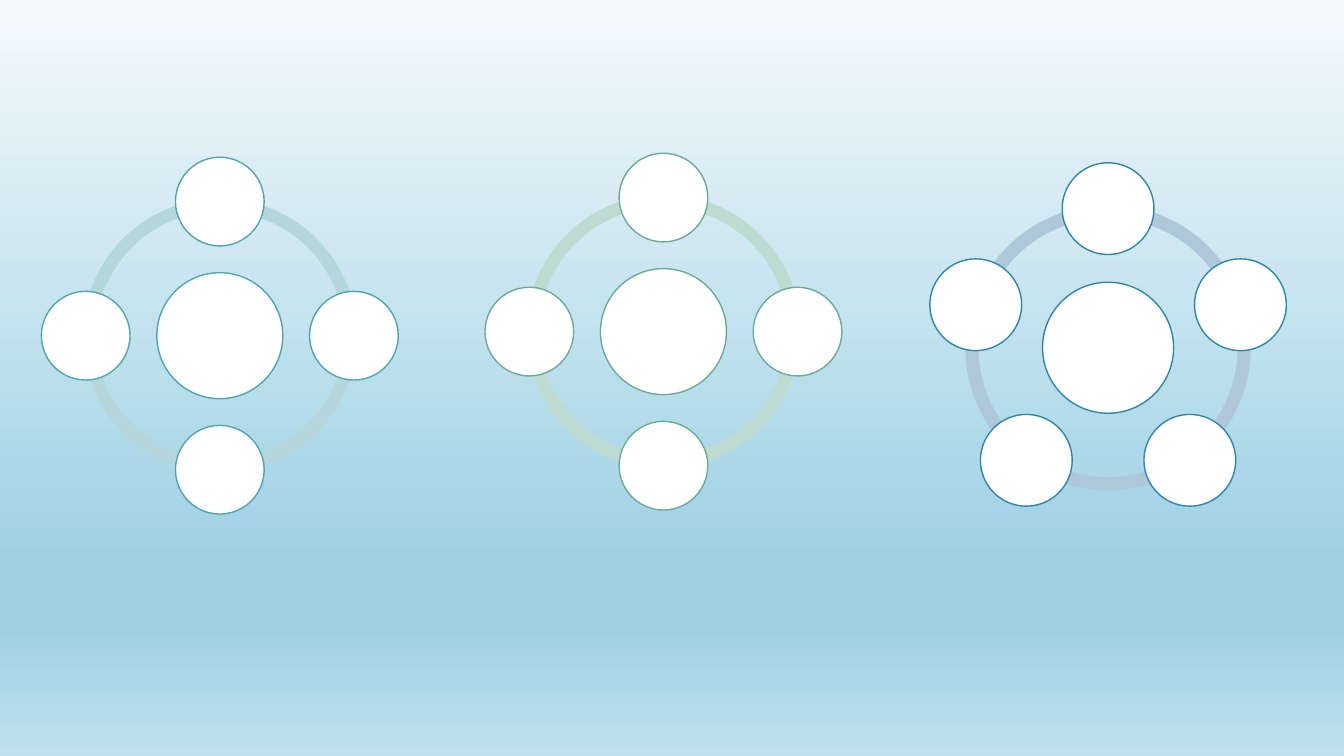
from copy import deepcopy
from math import cos, radians, sin
from pptx import Presentation
from pptx.dml.color import RGBColor
from pptx.enum.shapes import MSO_SHAPE as Shape
from pptx.oxml.ns import qn
from pptx.util import Inches, Pt

WHITE = RGBColor(0xFF, 0xFF, 0xFF)
ICE = RGBColor(0xF4, 0xFA, 0xFC)
SKY = RGBColor(0x9F, 0xD1, 0xE4)
MIST = RGBColor(0xBF, 0xE0, 0xED)
AQUA = RGBColor(0xB5, 0xD7, 0xDC)
TEAL = RGBColor(0x50, 0xA5, 0xAE)
MINT = RGBColor(0xBD, 0xDB, 0xD0)
GREEN = RGBColor(0x6A, 0xAC, 0x98)
STEEL = RGBColor(0xAE, 0xC8, 0xD9)
BLUE = RGBColor(0x2F, 0x86, 0xA9)

STOPS = [(0, ICE), (0.74, SKY), (0.83, SKY), (1, MIST)]
RINGS = [
    {"mid": (2.18, 3.33), "count": 4, "reach": 1.33, "ring": 2.72,
     "hub": 1.25, "node": 0.88, "band": AQUA, "edge": TEAL},
    {"mid": (6.58, 3.29), "count": 4, "reach": 1.33, "ring": 2.72,
     "hub": 1.25, "node": 0.88, "band": MINT, "edge": GREEN},
    {"mid": (10.99, 3.45), "count": 5, "reach": 1.38, "ring": 2.83,
     "hub": 1.3, "node": 0.91, "band": STEEL, "edge": BLUE},
]
TOP = 270
UNIT = 0.6
THICK = 0.046


def paint(slide):
    fill = slide.background.fill
    fill.gradient()
    fill.gradient_angle = 270
    stops = next(slide.element.iter(qn("a:gsLst")))
    while len(stops) < len(STOPS):
        stops.append(deepcopy(stops[0]))
    for stop, (place, color) in zip(fill.gradient_stops, STOPS):
        stop.position = place
        stop.color.rgb = color


def put(group, kind, x, y, size, color):
    left, top = Inches(x - size / 2), Inches(y - size / 2)
    shape = group.shapes.add_shape(kind, left, top, Inches(size), Inches(size))
    shape.shadow.inherit = False
    shape.fill.solid()
    shape.fill.fore_color.rgb = color
    return shape


def disc(group, x, y, size, edge):
    shape = put(group, Shape.OVAL, x, y, size, WHITE)
    shape.line.color.rgb = edge
    shape.line.width = Pt(1)


def draw(slide, ring):
    group = slide.shapes.add_group_shape()
    x, y = ring["mid"]
    step = 360 / ring["count"]
    turns = [(TOP + i * step) % 360 for i in range(ring["count"])]
    for turn in turns:
        arc = put(group, Shape.BLOCK_ARC, x, y, ring["ring"], ring["band"])
        arc.line.fill.background()
        ends = turn * UNIT, (turn + step) % 360 * UNIT, THICK
        for i, value in enumerate(ends):
            arc.adjustments[i] = value
    disc(group, x, y, ring["hub"], ring["edge"])
    for turn in turns:
        dx = ring["reach"] * cos(radians(turn))
        dy = ring["reach"] * sin(radians(turn))
        disc(group, x + dx, y + dy, ring["node"], ring["edge"])


def main():
    deck = Presentation()
    size = {"slide_width": Inches(13.33), "slide_height": Inches(7.5)}
    for name, value in size.items():
        setattr(deck, name, value)
    slide = deck.slides.add_slide(deck.slide_layouts[6])
    paint(slide)
    for ring in RINGS:
        draw(slide, ring)
    deck.save("out.pptx")


if __name__ == "__main__":
    main()
